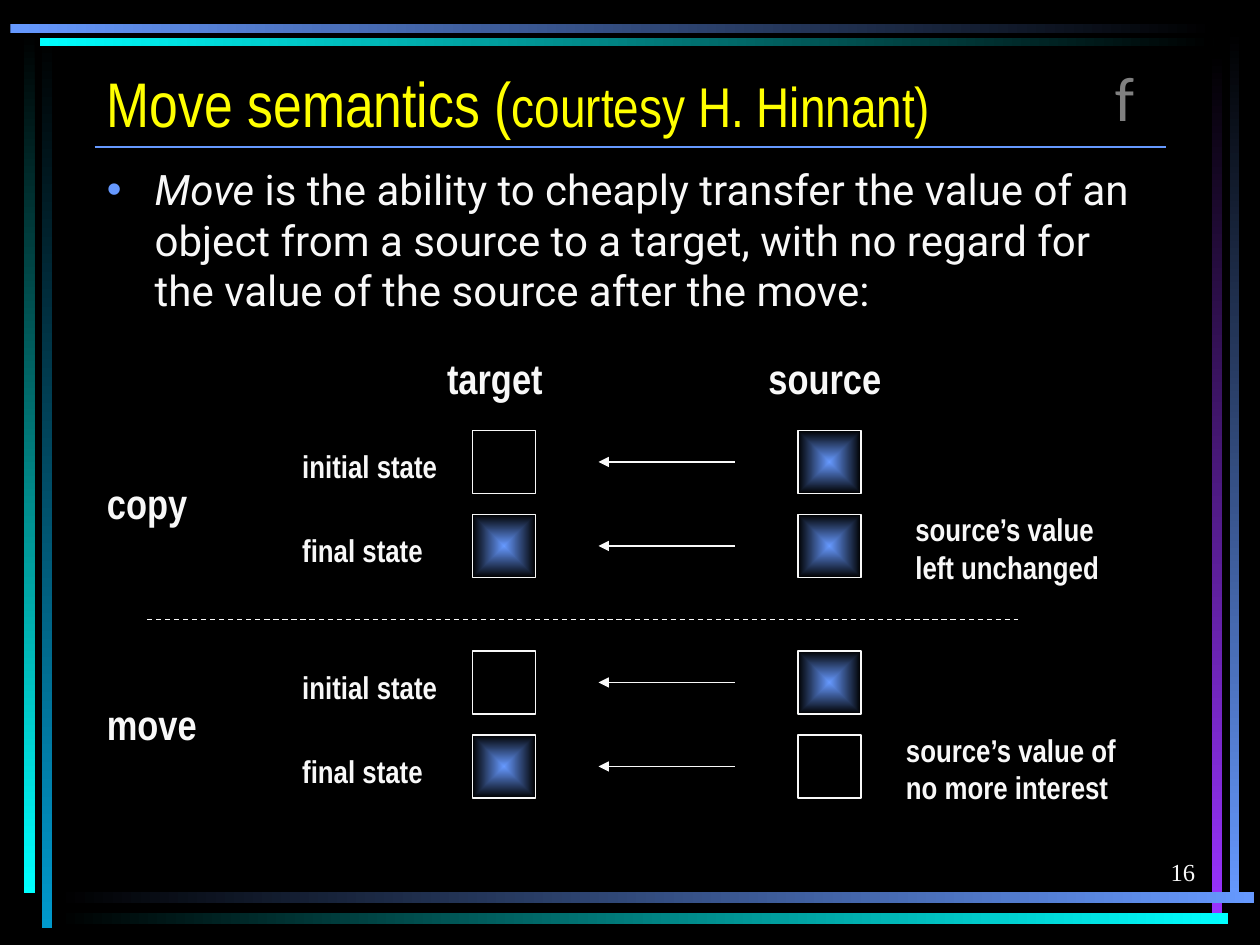
from typing import NamedTuple

from lxml.etree import SubElement
from pptx import Presentation
from pptx.dml.color import RGBColor
from pptx.enum.dml import MSO_LINE
from pptx.enum.shapes import MSO_CONNECTOR, MSO_SHAPE
from pptx.enum.text import MSO_ANCHOR, PP_ALIGN
from pptx.oxml.ns import qn
from pptx.util import Inches, Pt

BLACK, WHITE, BLUE, CYAN = "000000", "F8F8F8", "6699FF", "00FFFF"
TARGET_COL, SOURCE_COL, STATE_COL = 45, 76, 27.6
BOX, STATE_STEP = 6, 8


class Area(NamedTuple):
    col: float
    row: float
    cols: float
    rows: float


class Bar(NamedTuple):
    area: Area
    start: str
    end: str
    angle: int


class Span(NamedTuple):
    text: str
    size: float
    italic: bool = False


class State(NamedTuple):
    name: str
    target_full: bool
    source_full: bool


class Operation(NamedTuple):
    name: str
    width: float
    row: float
    states: tuple
    note: str
    note_col: float
    note_width: float


DOWN, RIGHT = 270, 0
BARS = [
    Bar(Area(4, 3.4, 1, 85), BLACK, "0099CC", DOWN),
    Bar(Area(2.3, 3, 1, 82.1), BLACK, CYAN, DOWN),
    Bar(Area(117.1, 2.9, 0.9, 83), BLACK, BLUE, DOWN),
    Bar(Area(115.4, 5, 1, 82), BLACK, "9933FF", DOWN),
    Bar(Area(5.4, 85, 114, 1), BLACK, BLUE, RIGHT),
    Bar(Area(5.4, 87, 111.6, 1), BLACK, CYAN, RIGHT),
    Bar(Area(3.8, 3.6, 111.8, 0.75), CYAN, BLACK, RIGHT),
    Bar(Area(1, 2.3, 114.7, 0.85), BLUE, BLACK, RIGHT),
]
OPERATIONS = [
    Operation("copy", 11, 41, (State("initial state", False, True),
                               State("final state", True, True)),
              "source’s value\nleft unchanged", 86, 21),
    Operation("move", 12, 62, (State("initial state", False, True),
                               State("final state", True, False)),
              "source’s value of\nno more interest", 85.1, 23.4),
]


def grid(n: float) -> int:
    return Inches(n / 12)


def rgb(color: str) -> RGBColor:
    return RGBColor.from_string(color)


def add_rect(s, area: Area):
    sp = s.shapes.add_shape(MSO_SHAPE.RECTANGLE, *map(grid, area))
    sp.shadow.inherit = False
    return sp


def set_gradient(sp, start: str, end: str, angle: int = 0) -> None:
    sp.fill.gradient()
    sp.fill.gradient_angle = angle
    for stop, color in zip(sp.fill.gradient_stops, (start, end)):
        stop.color.rgb = rgb(color)


def add_bar(s, bar: Bar) -> None:
    sp = add_rect(s, bar.area)
    set_gradient(sp, bar.start, bar.end, bar.angle)
    sp.line.fill.background()


def add_box(s, col: float, row: float, full: bool) -> None:
    sp = add_rect(s, Area(col, row, BOX, BOX))
    if full:
        set_gradient(sp, BLUE, BLACK)
        grad = sp._element.spPr.find(qn("a:gradFill"))
        grad.remove(grad.find(qn("a:lin")))
        glow = SubElement(grad, qn("a:path"), path="rect")
        SubElement(glow, qn("a:fillToRect"), l="50000", t="50000", r="50000", b="50000")
    else:
        sp.fill.solid()
        sp.fill.fore_color.rgb = rgb(BLACK)
    sp.line.color.rgb = rgb(WHITE)
    sp.line.width = Pt(0.75)


def add_line(s, start: float, end: float, row: float, color: str = WHITE,
             dashed: bool = False, arrow: bool = False) -> None:
    cx = s.shapes.add_connector(MSO_CONNECTOR.STRAIGHT, grid(start), grid(row),
                                grid(end), grid(row))
    cx.line.color.rgb = rgb(color)
    cx.line.width = Pt(0.75)
    if dashed:
        cx.line.dash_style = MSO_LINE.DASH
    if arrow:
        SubElement(cx.line._get_or_add_ln(), qn("a:tailEnd"), type="triangle")
    SubElement(cx._element.spPr, qn("a:effectLst"))


def add_paragraph(s, area: Area, anchor=MSO_ANCHOR.TOP):
    tf = s.shapes.add_textbox(*map(grid, area)).text_frame
    tf.word_wrap = True
    tf.vertical_anchor = anchor
    return tf.paragraphs[0]


def style(r, size: float, font: str, color: str = WHITE,
          bold: bool = False, italic: bool = False) -> None:
    r.font.size = Pt(size)
    r.font.name = font
    r.font.color.rgb = rgb(color)
    r.font.bold = bold
    r.font.italic = italic


def add_text(s, area: Area, spans: list[Span], font: str, color: str = WHITE,
             anchor=MSO_ANCHOR.TOP):
    p = add_paragraph(s, area, anchor)
    for span in spans:
        r = p.add_run()
        r.text = span.text
        style(r, span.size, font, color, italic=span.italic)
    return p


def add_label(s, text: str, size: float, area: Area) -> None:
    p = add_paragraph(s, area)
    p.text = text
    for r in p.runs:
        style(r, size, "Arial Narrow", bold=True)


def add_bullet(p) -> None:
    pPr = p._p.get_or_add_pPr()
    pPr.set("marL", str(Inches(0.38)))
    pPr.set("indent", str(-Inches(0.38)))
    SubElement(SubElement(pPr, qn("a:buClr")), qn("a:srgbClr"), val=BLUE)
    SubElement(pPr, qn("a:buFont"), typeface="Arial")
    SubElement(pPr, qn("a:buChar"), char="•")


def add_operation(s, op: Operation) -> None:
    add_label(s, op.name, 24, Area(9, op.row + 3.9, op.width, 6))
    for i, state in enumerate(op.states):
        row = op.row + i * STATE_STEP
        add_label(s, state.name, 18, Area(STATE_COL, row + 1, 16, 4.8))
        add_box(s, TARGET_COL, row, state.target_full)
        add_box(s, SOURCE_COL, row, state.source_full)
        add_line(s, 70, 57, row + BOX / 2, arrow=True)
    add_label(s, op.note, 18, Area(op.note_col, op.row + 7, op.note_width, 8.4))


def main() -> None:
    prs = Presentation()
    prs.slide_width, prs.slide_height = grid(120), grid(90)
    s = prs.slides.add_slide(prs.slide_layouts[6])
    s.background.fill.solid()
    s.background.fill.fore_color.rgb = rgb(BLACK)
    for bar in BARS:
        add_bar(s, bar)
    add_line(s, 9, 111, 14, BLUE)
    add_text(s, Area(105, 5, 9, 8.4), [Span("f", 36)], "Calibri", "808080")
    add_text(s, Area(9, 5.9, 102, 8),
             [Span("Move semantics (", 36), Span("courtesy H. Hinnant)", 32)],
             "Arial Narrow", "FFFF00", MSO_ANCHOR.BOTTOM)
    p = add_text(s, Area(9, 15, 102, 17), [
        Span("Move", 24, True),
        Span(" is the ability to cheaply transfer the value of an object from a source "
             "to a target, with no regard for the value of the source after the move:", 24),
    ], "Roboto")
    add_bullet(p)
    add_label(s, "target", 24, Area(41.4, 33, 12.5, 6))
    add_label(s, "source", 24, Area(72, 33, 14, 6))
    for op in OPERATIONS:
        add_operation(s, op)
    add_line(s, 14, 97, 59, dashed=True)
    p = add_text(s, Area(90, 79, 25, 6), [Span("16", 14)], "Times New Roman",
                 anchor=MSO_ANCHOR.BOTTOM)
    p.alignment = PP_ALIGN.RIGHT
    prs.save("out.pptx")


if __name__ == "__main__":
    main()
